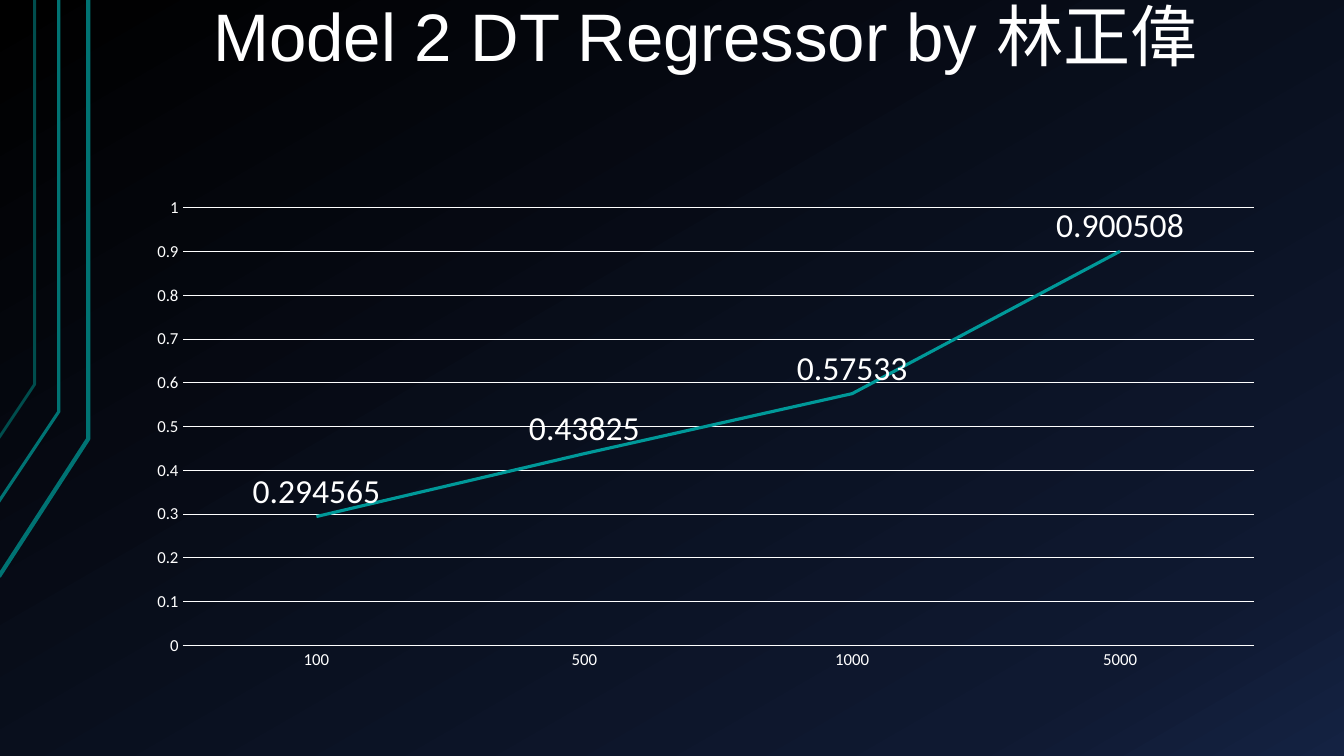
from copy import deepcopy

from pptx import Presentation
from pptx.chart.data import CategoryChartData
from pptx.dml.color import RGBColor
from pptx.enum import chart as charts, text
from pptx.oxml.ns import qn
from pptx.util import Emu, Pt

EMU_PER_PX = 9525
WHITE = "FFFFFF"


def px(*lengths):
    return [Emu(length * EMU_PER_PX) for length in lengths]


def rgb(value):
    return RGBColor.from_string(value)


def set_font(font, size, name="Calibri", color=WHITE):
    font.size, font.name, font.bold = Pt(size), name, False
    font.color.rgb = rgb(color)


def set_line(line, color, width):
    line.color.rgb = rgb(color)
    line.width = Pt(width)


def write(paragraph, content, align=text.PP_ALIGN.LEFT, spacing=1.0, **font):
    run = paragraph.add_run()
    run.text = content
    paragraph.alignment = align
    paragraph.line_spacing = spacing
    set_font(run.font, **font)


class SlideBuilder:
    def __init__(self, width, height):
        self.presentation = Presentation()
        self.presentation.slide_width, self.presentation.slide_height = px(width, height)
        title_only = self.presentation.slide_layouts[5]
        self.slide = self.presentation.slides.add_slide(title_only)

    def background(self, stops, clockwise_angle):
        fill = self.slide.background.fill
        fill.gradient()
        fill.gradient_angle = 360 - clockwise_angle
        stop_list = next(self.slide.element.iter(qn("a:gsLst")))
        while len(stop_list) < len(stops):
            stop_list.append(deepcopy(stop_list[0]))
        for stop, (position, color) in zip(fill.gradient_stops, stops):
            stop.position = position
            stop.color.rgb = rgb(color)

    def trace(self, points, color, width):
        """Draw an open outline through the points."""
        builder = self.slide.shapes.build_freeform(*points[0], scale=EMU_PER_PX)
        builder.add_line_segments(points[1:], close=False)
        shape = builder.convert_to_shape()
        shape.fill.background()
        shape.shadow.inherit = False
        set_line(shape.line, color, width)

    def title(self, content, box, **style):
        shape = self.slide.shapes.title
        shape.left, shape.top, shape.width, shape.height = px(*box)
        frame = shape.text_frame
        frame.auto_size = text.MSO_AUTO_SIZE.NONE
        frame.word_wrap = True
        frame.vertical_anchor = text.MSO_ANCHOR.BOTTOM
        frame.margin_left, frame.margin_right = px(12, 12)
        frame.margin_top, frame.margin_bottom = px(7, 7)
        write(frame.paragraphs[0], content, **style)

    def line_chart(self, categories, series, box):
        """Draw a line chart; series maps a name to its values and colour."""
        data = CategoryChartData()
        data.categories = categories
        for name, (values, _) in series.items():
            data.add_series(name, values)
        chart = self.slide.shapes.add_chart(
            charts.XL_CHART_TYPE.LINE, *px(*box), data).chart
        chart.has_legend = chart.has_title = False
        set_font(chart.font, 10)
        for axis in (chart.category_axis, chart.value_axis):
            axis.major_tick_mark = axis.minor_tick_mark = charts.XL_TICK_MARK.NONE
            set_font(axis.tick_labels.font, 12)
        set_line(chart.category_axis.format.line, WHITE, 0.75)
        scale = chart.value_axis
        scale.minimum_scale, scale.maximum_scale, scale.major_unit = 0, 1, 0.1
        scale.format.line.fill.background()
        set_line(scale.major_gridlines.format.line, WHITE, 0.75)
        for line, (_, color) in zip(chart.plots[0].series, series.values()):
            line.smooth = False
            line.marker.style = charts.XL_MARKER_STYLE.NONE
            set_line(line.format.line, color, 2.25)
            labels = line.data_labels
            labels.show_value = True
            labels.position = charts.XL_LABEL_POSITION.ABOVE
            set_font(labels.font, 24)

    def save(self):
        self.presentation.save("out.pptx")


def main():
    builder = SlideBuilder(1280, 720)
    builder.background([(0, "000000"), (0.85, "0F1931"), (1, "142242")], 60)
    for start, bend, color, width in (
        ((-1, 549), (84, 418), "007373", 3),
        ((-2, 479), (56, 392), "007373", 2.25),
        ((-1, 417), (33, 366), "004D4D", 2),
    ):
        builder.trace([start, bend, (bend[0], 0)], color, width)
    builder.title("Model 2 DT Regressor by 林正偉", (128, 1, 1088, 78),
                  align=text.PP_ALIGN.CENTER, spacing=0.9, size=48, name="Arial")
    empty = [None] * 4
    builder.line_chart(
        ["100", "500", "1000", "5000"],
        {
            "Series 1": ([0.294565, 0.43825, 0.57533, 0.900508], "009999"),
            "Series 2": (empty, "E98915"),
            "Series 3": (empty, "A419A7"),
        },
        (128, 179, 1088, 468),
    )
    builder.save()


if __name__ == "__main__":
    main()
